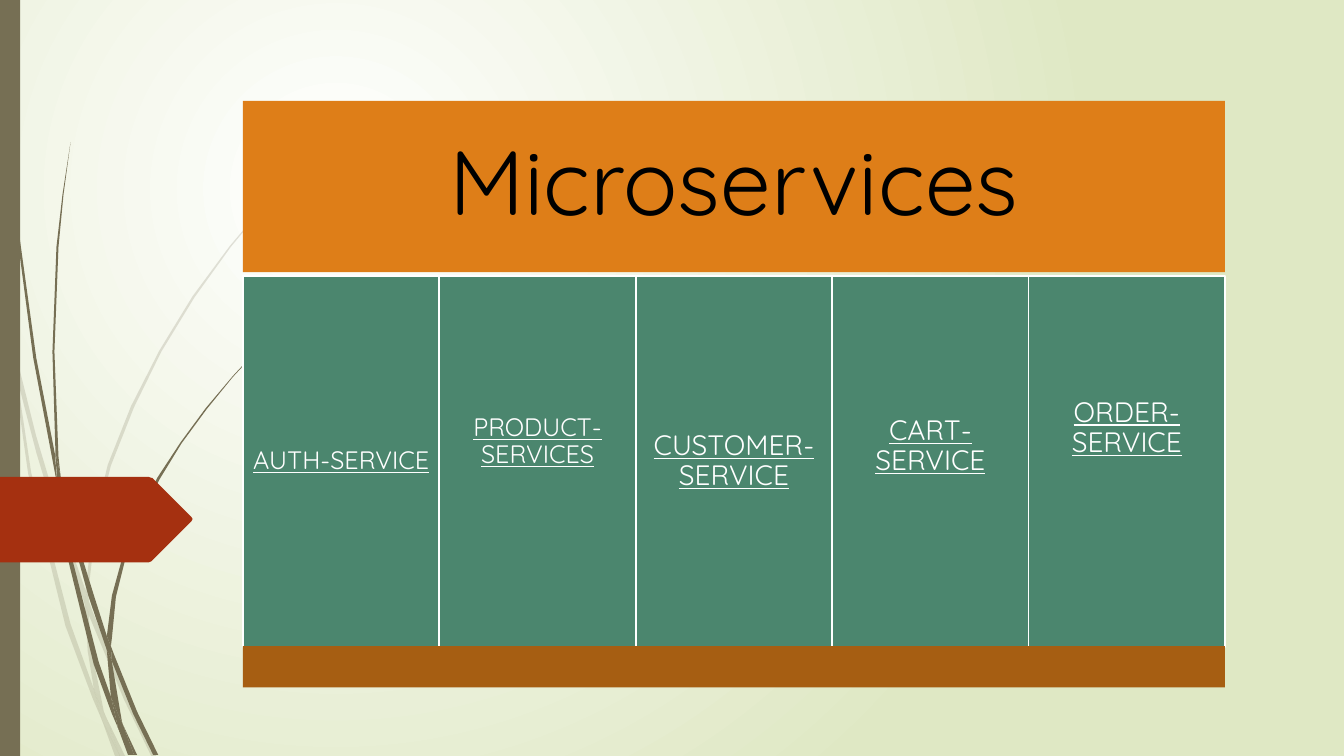
from lxml import etree
from pptx import Presentation
from pptx.dml.color import RGBColor
from pptx.enum.shapes import MSO_SHAPE
from pptx.enum.text import MSO_ANCHOR, PP_ALIGN
from pptx.oxml.ns import qn
from pptx.util import Inches, Pt

RECTANGLE = MSO_SHAPE.RECTANGLE
MIDDLE = MSO_ANCHOR.MIDDLE
CENTER = PP_ALIGN.CENTER

COLORS = {
    "white": "FFFFFF",
    "black": "000000",
    "pale_green": "DFE8C4",
    "olive": "766F54",
    "red": "A53010",
    "orange": "DE7E18",
    "green": "4B866E",
    "brown": "A65E12",
}

# Corner points of each blade of grass, in inches
FAINT_BLADES = [
    [(0.58, 5.22), (0.84, 5.99), (0.85, 5.86), (0.62, 5.2), (0.36, 4.33), (0.14, 3.45),
     (0.17, 3.76), (0.36, 4.49)],
    [(0.92, 6.07), (0.88, 5.96), (0.88, 6.1), (1.23, 6.94), (1.5, 7.5), (1.55, 7.5),
     (1.27, 6.92)],
    [(1.19, 7.5), (1.24, 7.5), (1.05, 7.11)],
    [(0.93, 6.83), (0.7, 6.19), (0.31, 4.69), (0.17, 3.76), (0.11, 3.5), (0.28, 4.7),
     (0.65, 6.21), (0.92, 6.93), (1.01, 7.14), (0.99, 7.07)],
    [(0.84, 5.99), (0.87, 6.46), (0.93, 6.83), (0.96, 6.92), (1.05, 7.11), (1.03, 7.06),
     (0.91, 6.46), (0.88, 6.1), (0.88, 6.08)],
    [(0.88, 5.84), (0.95, 5.22), (1.1, 4.62), (1.33, 4.04), (1.6, 3.49), (1.93, 2.95),
     (2.29, 2.45), (2.68, 1.98), (2.9, 1.75), (3.12, 1.54), (3.12, 1.53), (2.89, 1.75),
     (2.68, 1.97), (2.28, 2.44), (1.91, 2.94), (1.58, 3.48), (1.3, 4.03), (1.07, 4.61),
     (0.92, 5.22), (0.85, 5.84), (0.85, 5.86), (0.88, 5.96)],
    [(1.01, 7.14), (1.14, 7.5), (1.19, 7.5)],
    [(0.88, 6.08), (0.88, 6.1), (0.88, 5.96), (0.85, 5.86), (0.84, 5.99)],
    [(0.96, 6.92), (0.93, 6.83), (0.99, 7.07), (1.01, 7.14), (1.19, 7.5), (1.05, 7.11)],
]
SOLID_BLADES = [
    [(0.07, 1.1), (0.17, 2.33), (0.33, 3.55), (0.56, 4.77), (0.57, 4.81), (0.55, 4.57),
     (0.55, 4.53), (0.36, 3.55), (0.19, 2.32), (0.08, 1.09), (0.05, 0.48), (0.04, 0),
     (0.03, 0), (0.04, 0.48)],
    [(0.88, 5.92), (1.06, 6.45), (1.06, 6.33), (1.06, 6.31), (0.93, 5.9), (0.75, 5.32),
     (0.6, 4.72), (0.64, 5.05)],
    [(1.13, 6.49), (1.1, 6.41), (1.11, 6.56), (1.32, 7.08), (1.52, 7.49), (1.57, 7.49),
     (1.36, 7.06)],
    [(1.1, 6.91), (0.98, 6.57), (0.72, 5.56), (0.64, 5.05), (0.57, 4.77), (0.68, 5.57),
     (0.93, 6.59), (1.11, 7.08), (1.17, 7.22), (1.16, 7.17)],
    [(0.6, 4.72), (0.58, 4.53), (0.54, 3.49), (0.58, 2.45), (0.63, 1.93), (0.7, 1.41),
     (0.62, 1.93), (0.56, 2.45), (0.52, 3.49), (0.55, 4.49)],
    [(1.33, 7.49), (1.36, 7.49), (1.22, 7.19)],
    [(0.57, 4.77), (0.64, 5.05), (0.6, 4.72), (0.55, 4.49), (0.55, 4.53)],
    [(1.11, 6.33), (1.15, 5.92), (1.25, 5.52), (1.4, 5.13), (1.58, 4.76), (1.8, 4.4),
     (2.05, 4.06), (2.31, 3.74), (2.45, 3.59), (2.61, 3.44), (2.6, 3.44), (2.45, 3.58),
     (2.31, 3.73), (2.04, 4.05), (1.79, 4.39), (1.56, 4.74), (1.37, 5.12), (1.22, 5.51),
     (1.11, 5.91), (1.06, 6.31), (1.1, 6.41)],
    [(1.17, 7.22), (1.27, 7.49), (1.31, 7.49)],
    [(1.06, 6.45), (1.1, 6.91), (1.16, 7.06), (1.22, 7.19), (1.21, 7.16), (1.11, 6.56),
     (1.09, 6.51)],
    [(1.06, 6.45), (1.09, 6.51), (1.11, 6.56), (1.1, 6.41), (1.06, 6.31), (1.06, 6.33)],
    [(1.16, 7.06), (1.1, 6.91), (1.16, 7.17), (1.17, 7.22), (1.3, 7.49), (1.33, 7.49),
     (1.22, 7.19)],
]
ARROW = [(0, 4.73), (1.47, 4.73), (1.5, 4.74), (1.51, 4.74), (1.9, 5.13), (1.91, 5.15),
         (1.9, 5.17), (1.51, 5.56), (1.5, 5.57), (1.47, 5.58), (0, 5.58)]

# Name, text size, side inset, bottom inset that lifts the text
SERVICES = [
    ("AUTH-SERVICE", 18, 0.07, 0.07),
    ("PRODUCT-SERVICES", 18, 0.07, 0.46),
    ("CUSTOMER-SERVICE", 20, 0.08, 0.08),
    ("CART-SERVICE", 20, 0.08, 0.38),
    ("ORDER-SERVICE", 20, 0.08, 0.74),
]

deck = Presentation()
deck.slide_width = Inches(13.33)
deck.slide_height = Inches(7.5)
page = deck.slides.add_slide(deck.slide_layouts[6])


def paint(shape, color, line=None):
    shape.shadow.inherit = False
    shape.fill.solid()
    shape.fill.fore_color.rgb = RGBColor.from_string(COLORS[color])
    if line:
        shape.line.color.rgb = RGBColor.from_string(COLORS[line])
        shape.line.width = Pt(1.25)
    else:
        shape.line.fill.background()


def write(shape, text, size, color, inset, bottom, underline=None):
    frame = shape.text_frame
    frame.word_wrap = True
    frame.vertical_anchor = MIDDLE
    frame.margin_left = frame.margin_right = frame.margin_top = Inches(inset)
    frame.margin_bottom = Inches(bottom)
    para = frame.paragraphs[0]
    para.alignment = CENTER
    para.line_spacing = 0.9
    para.space_after = Pt(0.35 * size)
    span = para.add_run()
    span.text = text
    span.font.name = "Quicksand"
    span.font.size = Pt(size)
    span.font.underline = underline
    span.font.color.rgb = RGBColor.from_string(COLORS[color])


# Background: a round glow centred in the upper left
backdrop = page.background.fill
backdrop.gradient()
for stop, color, position in zip(backdrop.gradient_stops, ("white", "pale_green"), (0, 1)):
    stop.color.rgb = RGBColor.from_string(COLORS[color])
    stop.position = position
gradient = page.element.find(".//" + qn("a:gradFill"))
gradient.remove(gradient.find(qn("a:lin")))
glow = etree.SubElement(gradient, qn("a:path"), path="circle")
etree.SubElement(glow, qn("a:fillToRect"), l="50000", t="50000", r="100000", b="100000")

# Side bar, grass and arrow
side_bar = page.shapes.add_shape(RECTANGLE, 0, 0, Inches(0.2), deck.slide_height)
paint(side_bar, "olive")

outlines = [(points, "olive", 20) for points in FAINT_BLADES]
outlines += [(points, "olive", 100) for points in SOLID_BLADES]
outlines.append((ARROW, "red", 100))
for points, color, opacity in outlines:
    corners = [(Inches(x), Inches(y)) for x, y in points]
    builder = page.shapes.build_freeform(*corners[0])
    builder.add_line_segments(corners[1:], close=True)
    outline = builder.convert_to_shape()
    paint(outline, color)
    if opacity < 100:
        tint = outline.element.spPr.find(".//" + qn("a:srgbClr"))
        etree.SubElement(tint, qn("a:alpha"), val=str(opacity * 1000))

# Board: heading, one card per service, footer strip
board_left, board_width = Inches(2.41), Inches(9.74)
heading = page.shapes.add_shape(RECTANGLE, board_left, Inches(1), board_width, Inches(1.7))
paint(heading, "orange")
write(heading, "Microservices", 65, "black", inset=0.27, bottom=0.27)

card_width = board_width // len(SERVICES)
for index, (name, size, inset, bottom) in enumerate(SERVICES):
    card = page.shapes.add_shape(RECTANGLE, board_left + index * card_width, Inches(2.74),
                                 card_width, Inches(3.68))
    paint(card, "green", line="white")
    write(card, name, size, "white", inset, bottom, underline=True)

footer = page.shapes.add_shape(RECTANGLE, board_left, Inches(6.41), board_width, Inches(0.41))
paint(footer, "brown")

deck.save("out.pptx")
